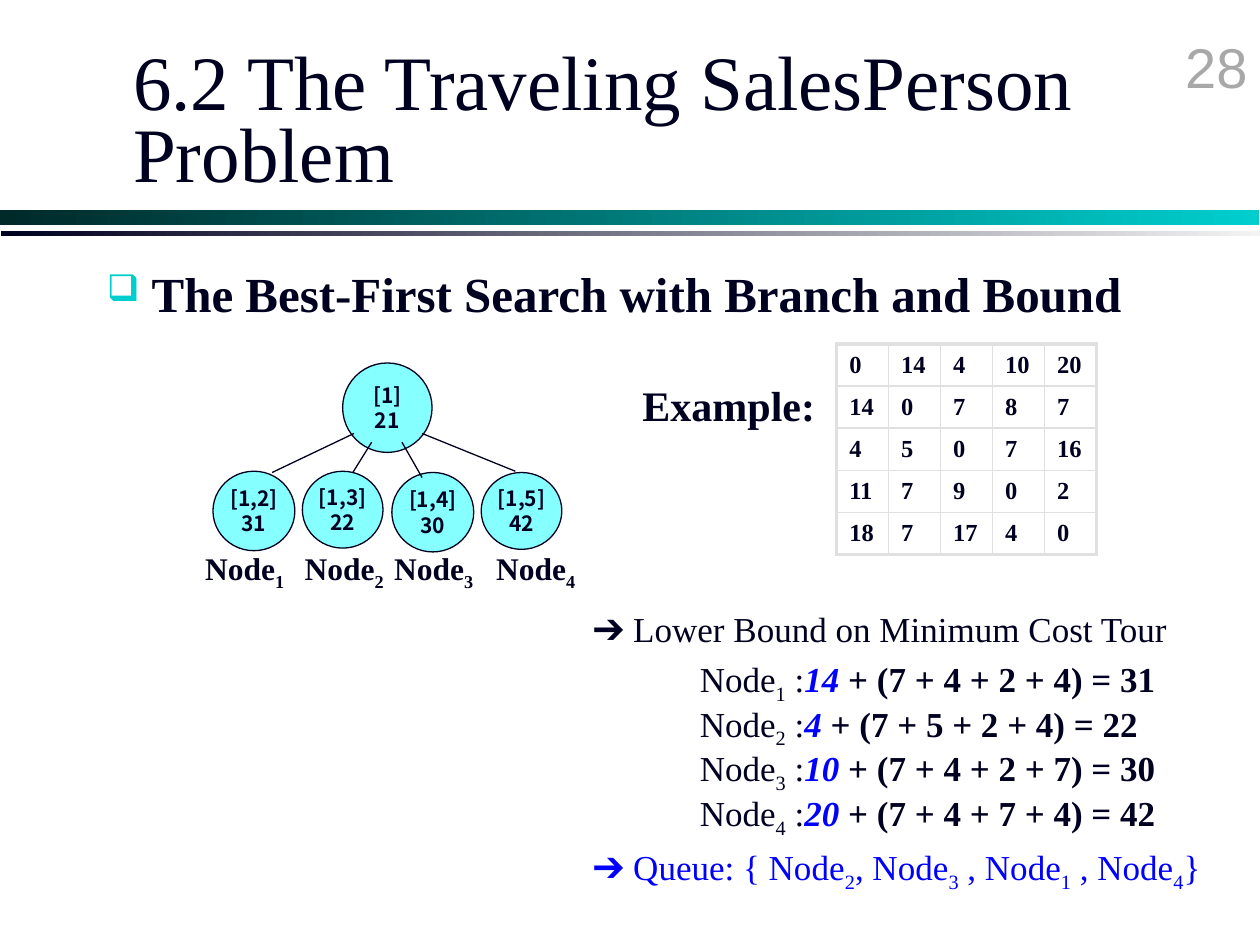
from dataclasses import dataclass

from lxml.etree import SubElement
from pptx import Presentation
from pptx.dml.color import RGBColor
from pptx.enum.shapes import MSO_CONNECTOR as Connector, MSO_SHAPE as Shape
from pptx.enum.text import MSO_ANCHOR as Anchor, PP_ALIGN as Align
from pptx.oxml.ns import qn
from pptx.util import Pt


@dataclass(frozen=True)
class Theme:
    ink: str = "000020"
    blue: str = "0000FF"
    node: str = "85FFFF"
    bullet: str = "00CECE"
    number: str = "A8A8A8"
    grid: str = "E0E0E0"
    teal_bar: tuple = ("002929", "00CECE")
    gray_bar: tuple = ("000020", "F3F3F3")
    serif: str = "Times New Roman"
    sans: str = "Arial"
    node_font: str = "Noto Sans CJK KR"
    title_size: int = 44
    number_size: int = 32
    heading_size: int = 28
    example_size: int = 24
    body_size: int = 20
    label_size: int = 18
    cell_size: int = 14
    node_size: int = 12


THEME = Theme()
COSTS = [
    (0, 14, 4, 10, 20),
    (14, 0, 7, 8, 7),
    (4, 5, 0, 7, 16),
    (11, 7, 9, 0, 2),
    (18, 7, 17, 4, 0),
]
# path, bound, circle box, label left
CHILDREN = [
    ("[1,2]", "31", (121.7, 269.3, 46.8, 45.4), 110.2),
    ("[1,3]", "22", (172.8, 269.3, 46.1, 43.9), 167),
    ("[1,4]", "30", (223.9, 270, 46.8, 45.4), 218.2),
    ("[1,5]", "42", (275, 270, 46.1, 43.9), 276.5),
]
BRANCHES = [
    (202.3, 247.7, 155.5, 270),
    (212.4, 252.7, 201.6, 270),
    (229.7, 252.7, 241.2, 272.9),
    (241.2, 247.7, 294.5, 269.3),
]
BOUNDS = [
    ("14", "(7 + 4 + 2 + 4) = 31"),
    ("4", "(7 + 5 + 2 + 4) = 22"),
    ("10", "(7 + 4 + 2 + 7) = 30"),
    ("20", "(7 + 4 + 7 + 4) = 42"),
]


def rgb(value):
    return RGBColor.from_string(value)


def points(*lengths):
    return [Pt(length) for length in lengths]


def add_run(paragraph, text, size, color=THEME.ink, face=THEME.serif,
            bold=False, italic=False, subscript=False):
    run = paragraph.add_run()
    run.text = text
    font = run.font
    font.size, font.name, font.bold, font.italic = Pt(size), face, bold, italic
    font.color.rgb = rgb(color)
    if subscript:
        font._element.set("baseline", "-25000")


def add_text(slide, *box):
    """Add an empty wrapping text box and return its first paragraph."""
    frame = slide.shapes.add_textbox(*points(*box)).text_frame
    frame.word_wrap = True
    return frame.paragraphs[0]


def add_node_name(paragraph, index, size, prefix="", **style):
    add_run(paragraph, f"{prefix}Node", size, **style)
    add_run(paragraph, str(index), size, subscript=True, **style)


def add_bar(slide, box, colors):
    bar = slide.shapes.add_shape(Shape.RECTANGLE, *points(*box))
    bar.shadow.inherit = False
    bar.line.fill.background()
    bar.fill.gradient()
    bar.fill.gradient_angle = 0
    for stop, color in zip(bar.fill.gradient_stops, colors):
        stop.color.rgb = rgb(color)


def add_tree_node(slide, box, path, bound):
    circle = slide.shapes.add_shape(Shape.OVAL, *points(*box))
    circle.shadow.inherit = False
    circle.fill.solid()
    circle.fill.fore_color.rgb = rgb(THEME.node)
    circle.line.color.rgb = rgb(THEME.ink)
    circle.line.width = Pt(0.75)
    frame = circle.text_frame
    frame.word_wrap = False
    frame.vertical_anchor = Anchor.MIDDLE
    for paragraph, text in ((frame.paragraphs[0], path),
                            (frame.add_paragraph(), bound)):
        paragraph.alignment = Align.CENTER
        add_run(paragraph, text, THEME.node_size, face=THEME.node_font, bold=True)


def add_branch(slide, ends):
    branch = slide.shapes.add_connector(Connector.STRAIGHT, *points(*ends))
    branch.line.color.rgb = rgb(THEME.ink)
    branch.line.width = Pt(0.75)
    SubElement(branch._element.spPr, qn("a:effectLst"))


def set_border(cell, side, width):
    edge = SubElement(cell._tc.get_or_add_tcPr(), qn(f"a:{side}"), w=str(Pt(width)))
    fill = SubElement(edge, qn("a:solidFill"))
    SubElement(fill, qn("a:srgbClr"), val=THEME.grid)


def add_cost_matrix(slide):
    count = len(COSTS)
    column_width, row_height = 29.7, 24.05
    table = slide.shapes.add_table(
        count, count,
        *points(478.1, 196.6, count * column_width, count * row_height)).table
    table.first_row = table.horz_banding = False
    for column in table.columns:
        column.width = Pt(column_width)
    for row in table.rows:
        row.height = Pt(row_height)
    for r, costs in enumerate(COSTS):
        for c, cost in enumerate(costs):
            cell = table.cell(r, c)
            cell.vertical_anchor = Anchor.MIDDLE
            outer = {"lnL": c == 0, "lnR": c == count - 1,
                     "lnT": r == 0, "lnB": r == count - 1}
            for side, is_outer in outer.items():
                set_border(cell, side, 2.25 if is_outer else 1)
            cell.fill.background()
            add_run(cell.text_frame.paragraphs[0], str(cost), THEME.cell_size, bold=True)


def add_heading(slide):
    heading = add_text(slide, 54, 147, 666, 42)
    properties = heading._p.get_or_add_pPr()
    properties.set("marL", str(Pt(25.6)))
    properties.set("indent", str(-Pt(25.6)))
    color = SubElement(properties, qn("a:buClr"))
    SubElement(color, qn("a:srgbClr"), val=THEME.bullet)
    SubElement(properties, qn("a:buSzPct"), val="75000")
    SubElement(properties, qn("a:buChar"), char="❑")
    add_run(heading, "The Best-First Search with Branch and Bound",
            THEME.heading_size, bold=True)


def add_bound(slide, index, edge, remainder):
    """Write one lower-bound sum, its first cost right-aligned at a tab."""
    line = add_text(slide, 392.8, 372.2 + 25.5 * (index - 1), 300, 31.7)
    tabs = SubElement(line._p.get_or_add_pPr(), qn("a:tabLst"))
    SubElement(tabs, qn("a:tab"), pos=str(Pt(85)), algn="r")
    size = THEME.body_size
    add_node_name(line, index, size)
    add_run(line, " :\t", size)
    add_run(line, edge, size, THEME.blue, bold=True, italic=True)
    add_run(line, f" + {remainder}", size, bold=True)


def add_queue(slide):
    queue = add_text(slide, 331.9, 479.5, 388, 31)
    size, style = THEME.body_size, {"color": THEME.blue}
    for index, prefix in ((2, "➔ Queue: { "), (3, ", "), (1, " , "), (4, " , ")):
        add_node_name(queue, index, size, prefix, **style)
    add_run(queue, "}", size, **style)


def main():
    deck = Presentation()
    deck.slide_width, deck.slide_height = points(720, 540)
    slide = deck.slides.add_slide(deck.slide_layouts[6])

    add_bar(slide, (0, 120, 719.3, 8.8), THEME.teal_bar)
    add_bar(slide, (0.7, 131.9, 719.3, 2.9), THEME.gray_bar)
    number = add_text(slide, 570, 15, 150, 36)
    number.alignment = Align.RIGHT
    add_run(number, "28", THEME.number_size, THEME.number, THEME.sans)
    title = add_text(slide, 69, 27.4, 613.4, 90)
    title.line_spacing = Pt(41)
    add_run(title, "6.2 The Traveling SalesPerson Problem", THEME.title_size)
    add_heading(slide)

    add_tree_node(slide, (195.8, 207.4, 51.1, 51.1), "[1]", "21")
    for index, (path, bound, box, label_left) in enumerate(CHILDREN, 1):
        add_tree_node(slide, box, path, bound)
        label = add_text(slide, label_left, 310, 72, 29)
        add_node_name(label, index, THEME.label_size, bold=True)
    for ends in BRANCHES:
        add_branch(slide, ends)

    add_run(add_text(slide, 360, 213.1, 115, 36), "Example:", THEME.example_size, bold=True)
    add_cost_matrix(slide)
    add_run(add_text(slide, 331.9, 343.4, 360, 31),
            "➔ Lower Bound on Minimum Cost Tour", THEME.body_size)
    for index, (edge, remainder) in enumerate(BOUNDS, 1):
        add_bound(slide, index, edge, remainder)
    add_queue(slide)
    deck.save("out.pptx")


if __name__ == "__main__":
    main()
